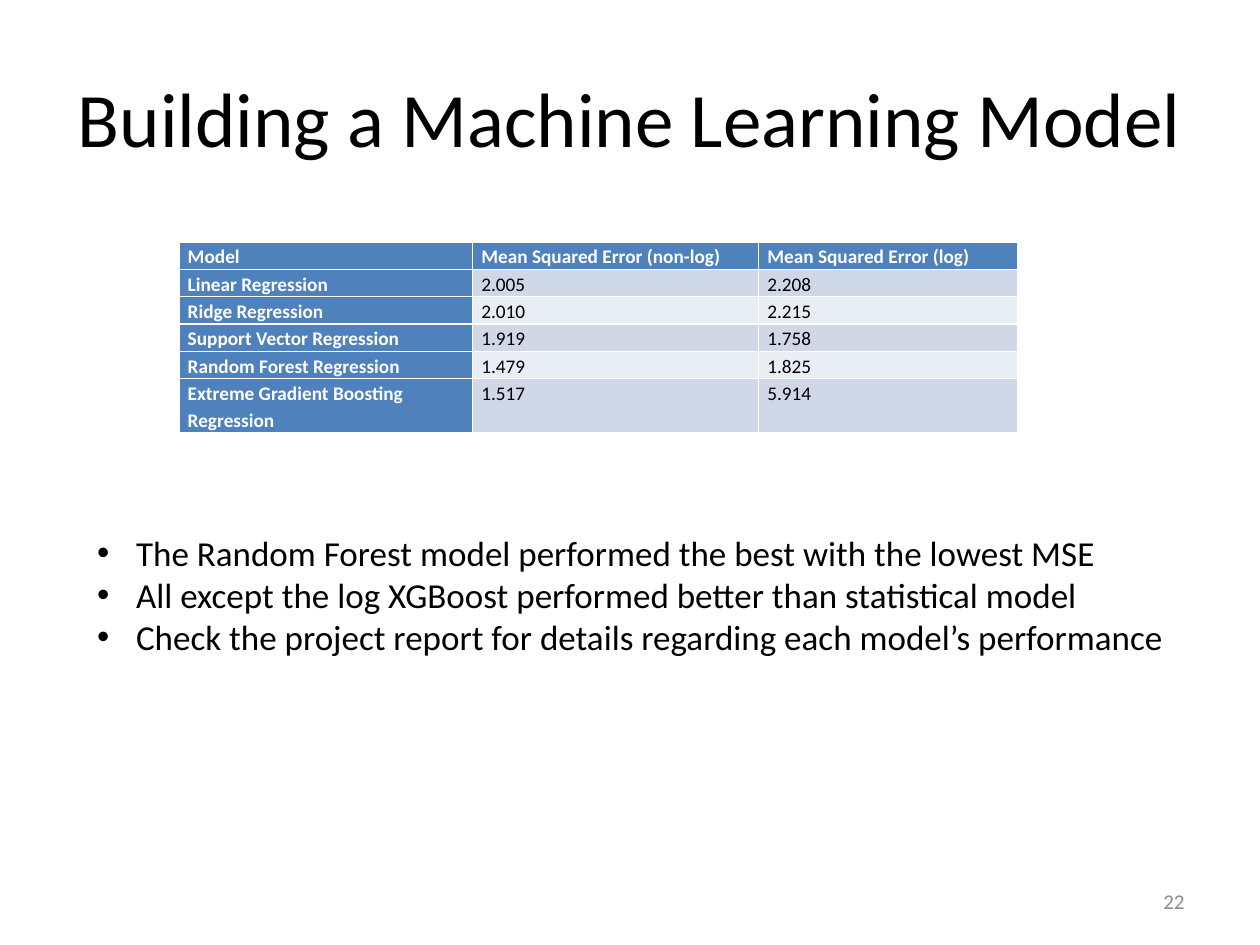
from pptx import Presentation
from pptx.dml.color import RGBColor
from pptx.enum.text import MSO_ANCHOR as Anchor, MSO_AUTO_SIZE as Fit, PP_ALIGN as Align
from pptx.util import Inches, Pt

COLORS = {"ink": "000000", "white": "FFFFFF", "head": "4F81BD",
          "odd": "D0D8E8", "even": "E9EDF4", "gray": "8C8C8C"}
ROWS = [
    ("Model", "Mean Squared Error (non-log)", "Mean Squared Error (log)"),
    ("Linear Regression", "2.005", "2.208"),
    ("Ridge Regression", "2.010", "2.215"),
    ("Support Vector Regression", "1.919", "1.758"),
    ("Random Forest Regression", "1.479", "1.825"),
    ("Extreme Gradient Boosting Regression", "1.517", "5.914"),
]
WIDTHS = [2.33, 2.27, 2.06]
LINE = 0.21
POINTS = [
    "The Random Forest model performed the best with the lowest MSE",
    "All except the log XGBoost performed better than statistical model",
    "Check the project report for details regarding each model’s performance",
]


def style(par, size, color, bold=False, **form):
    """Set the font and the paragraph format."""
    font = par.font if not par.runs else par.runs[0].font
    for key, val in {"name": "Calibri", "size": Pt(size), "bold": bold}.items():
        setattr(font, key, val)
    font.color.rgb = RGBColor.from_string(COLORS[color])
    for key, val in form.items():
        setattr(par, key, val)


def place(shape, *box):
    """Move a shape to left, top, width, height in inches."""
    for key, val in zip(("left", "top", "width", "height"), box):
        setattr(shape, key, Inches(val))


deck = Presentation()
deck.slide_width, deck.slide_height = Inches(10), Inches(7.5)
slide = deck.slides.add_slide(deck.slide_layouts[1])

# Title
title = slide.shapes.title
place(title, 0.5, 0.3, 9, 1.25)
title.text_frame.text = "Building a Machine Learning Model"
title.text_frame.auto_size = Fit.NONE
style(title.text_frame.paragraphs[0], 44, "ink", alignment=Align.CENTER)

# Error table
frame = slide.shapes.add_table(len(ROWS), len(WIDTHS), Inches(1.42), Inches(1.92),
                               Inches(sum(WIDTHS)), Inches(LINE * 7))
table = frame.table
table.first_col = True
for col, width in zip(table.columns, WIDTHS):
    col.width = Inches(width)
for r, row in enumerate(ROWS):
    table.rows[r].height = Inches(LINE * (2 if r == len(ROWS) - 1 else 1))
    for c, text in enumerate(row):
        cell = table.cell(r, c)
        head = r == 0 or c == 0
        fill = "head" if head else "odd" if r % 2 else "even"
        cell.fill.solid()
        cell.fill.fore_color.rgb = RGBColor.from_string(COLORS[fill])
        cell.margin_left = cell.margin_right = Inches(0.07)
        cell.margin_top = cell.margin_bottom = 0
        cell.text = text
        style(cell.text_frame.paragraphs[0], 11, "white" if head else "ink", head,
              line_spacing=1.15)

# Findings
body = slide.placeholders[1]
place(body, 0.67, 4.17, 8.67, 1.45)
body.text_frame.text = "\n".join(POINTS)
body.text_frame.auto_size = Fit.NONE
for par in body.text_frame.paragraphs:
    style(par, 20, "ink", space_before=Pt(0))
    props = par._p.get_or_add_pPr()
    props.set("marL", str(Inches(0.31)))
    props.set("indent", str(-Inches(0.31)))

# Page number
page = slide.shapes.add_textbox(Inches(7.17), Inches(6.95), Inches(2.33), Inches(0.4))
page.text_frame.word_wrap = True
page.text_frame.vertical_anchor = Anchor.MIDDLE
page.text_frame.text = "22"
style(page.text_frame.paragraphs[0], 12, "gray", alignment=Align.RIGHT)

deck.save("out.pptx")
